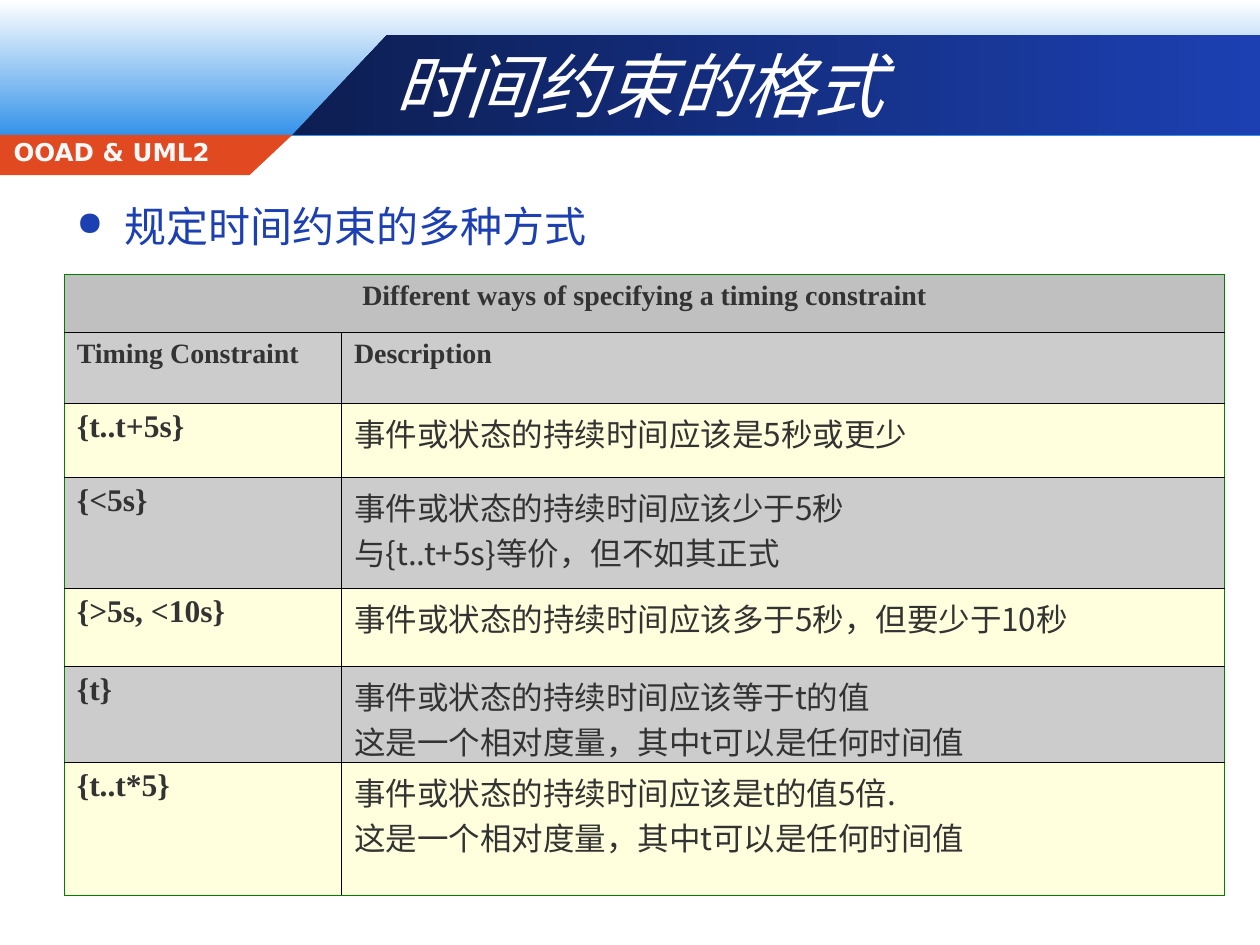
"""Build the slide on formats of UML timing constraints."""
import pptx
import pptx.dml.color
import pptx.enum.shapes
import pptx.enum.text
import pptx.oxml
import pptx.oxml.ns
import pptx.util
from pptx.dml.color import RGBColor
from pptx.util import Inches

WHITE = RGBColor(0xFF, 0xFF, 0xFF)
SKY = RGBColor(0x33, 0x92, 0xE9)
NAVY = RGBColor(0x0D, 0x1E, 0x52)
BLUE = RGBColor(0x1C, 0x40, 0xB2)
ORANGE = RGBColor(0xE1, 0x4A, 0x21)
OFF_WHITE = RGBColor(0xF8, 0xF8, 0xF8)
SILVER = RGBColor(0xC0, 0xC0, 0xC0)
GRAY = RGBColor(0xCC, 0xCC, 0xCC)
CREAM = RGBColor(0xFF, 0xFF, 0xDD)
DARK = RGBColor(0x33, 0x33, 0x33)
GREEN = RGBColor(0x00, 0x80, 0x00)
BLACK = RGBColor(0x00, 0x00, 0x00)
SERIF, SANS, CJK = "Times New Roman", "DejaVu Sans", "Noto Sans CJK SC"
NS = pptx.oxml.ns.nsdecls("a")


def style(paragraph, size, font, color, bold=False, italic=False, east_asian=CJK):
    for run in paragraph.runs:
        run.font.size = pptx.util.Pt(size)
        run.font.name = font
        run.font.color.rgb = color
        run.font.bold = bold
        run.font.italic = italic
        run.font._element.find(pptx.oxml.ns.qn("a:latin")).addnext(
            pptx.oxml.parse_xml(f'<a:ea {NS} typeface="{east_asian}"/>'))


def paint(shape, *colors, angle=0):
    shape.shadow.inherit = False
    shape.line.fill.background()
    if len(colors) == 1:
        shape.fill.solid()
        shape.fill.fore_color.rgb = colors[0]
        return
    shape.fill.gradient()
    shape.fill.gradient_angle = angle
    for stop, color in zip(shape.fill.gradient_stops, colors):
        stop.color.rgb = color


prs = pptx.Presentation()
prs.slide_width, prs.slide_height = Inches(10), Inches(7.5)
slide = prs.slides.add_slide(prs.slide_layouts[5])
shapes = slide.shapes

sky_band = shapes.add_shape(pptx.enum.shapes.MSO_SHAPE.RECTANGLE, 0, 0, Inches(10), Inches(1.08))
paint(sky_band, WHITE, SKY, angle=270)

banners = [
    ([(2.32, 1.07), (10, 1.07), (10, 0.28), (3.07, 0.28)], [NAVY, BLUE]),
    ([(0, 1.07), (2.32, 1.07), (1.98, 1.39), (0, 1.39)], [ORANGE]),
]
for corners, colors in banners:
    points = [(Inches(x), Inches(y)) for x, y in corners]
    outline = shapes.build_freeform(*points[0])
    outline.add_line_segments(points[1:], close=True)
    paint(outline.convert_to_shape(), *colors)

course = shapes.add_textbox(Inches(0.01), Inches(1.12), Inches(2.25), Inches(0.24)).text_frame
course.word_wrap = True
course.text = "OOAD & UML2"
course.paragraphs[0].line_spacing = 0.6
style(course.paragraphs[0], 14, SANS, OFF_WHITE, bold=True)

title = shapes.title
shapes.element.append(title.element)
title.left, title.top, title.width, title.height = (Inches(v) for v in (3.03, 0.28, 6.97, 0.78))
title.text_frame.text = "时间约束的格式"
title.text_frame.auto_size = pptx.enum.text.MSO_AUTO_SIZE.NONE
title.text_frame.vertical_anchor = pptx.enum.text.MSO_ANCHOR.MIDDLE
title.text_frame.paragraphs[0].alignment = pptx.enum.text.PP_ALIGN.LEFT
style(title.text_frame.paragraphs[0], 40, "Noto Sans CJK JP", WHITE, italic=True,
      east_asian="Noto Sans CJK JP")

intro = shapes.add_textbox(Inches(0.51), Inches(1.54), Inches(8.74), Inches(0.94)).text_frame
intro.word_wrap = True
intro.text = "规定时间约束的多种方式"
bullet = intro.paragraphs[0]._p.get_or_add_pPr()
bullet.set("marL", str(Inches(0.38)))
bullet.set("indent", str(Inches(-0.38)))
for item in (f'<a:buClr {NS}><a:srgbClr val="{BLUE}"/></a:buClr>',
             f'<a:buSzPct {NS} val="80000"/>', f'<a:buChar {NS} char="●"/>'):
    bullet.append(pptx.oxml.parse_xml(item))
style(intro.paragraphs[0], 24, SANS, BLUE)

rows = [
    (0.46, "Different ways of specifying a timing constraint", ""),
    (0.56, "Timing Constraint", "Description"),
    (0.59, "{t..t+5s}", "事件或状态的持续时间应该是5秒或更少"),
    (0.88, "{<5s}", "事件或状态的持续时间应该少于5秒\n与{t..t+5s}等价，但不如其正式"),
    (0.62, "{>5s, <10s}", "事件或状态的持续时间应该多于5秒，但要少于10秒"),
    (0.76, "{t}", "事件或状态的持续时间应该等于t的值\n这是一个相对度量，其中t可以是任何时间值"),
    (1.06, "{t..t*5}", "事件或状态的持续时间应该是t的值5倍.\n这是一个相对度量，其中t可以是任何时间值"),
]
last = len(rows) - 1
constraints = shapes.add_table(len(rows), 2, Inches(0.51), Inches(2.18),
                               Inches(9.21), Inches(4.93)).table
constraints.first_row = constraints.horz_banding = False
constraints.columns[0].width, constraints.columns[1].width = Inches(2.2), Inches(7.01)
constraints.cell(0, 0).merge(constraints.cell(0, 1))

for r, (height, *texts) in enumerate(rows):
    constraints.rows[r].height = Inches(height)
    for c, text in enumerate(texts):
        cell = constraints.cell(r, c)
        edges = {
            "L": (GREEN, 0.45) if c == 0 else (BLACK, 0.34),
            "R": (GREEN, 0.45) if c == 1 or r == 0 else (BLACK, 0.34),
            "T": (GREEN, 0.96) if r == 0 else (BLACK, 0.45),
            "B": (GREEN, 0.96) if r == last else (BLACK, 0.45),
        }
        for side, (color, width) in edges.items():
            cell._tc.get_or_add_tcPr().append(pptx.oxml.parse_xml(
                f'<a:ln{side} {NS} w="{pptx.util.Pt(width)}"><a:solidFill>'
                f'<a:srgbClr val="{color}"/></a:solidFill></a:ln{side}>'))
        cell.fill.solid()
        cell.fill.fore_color.rgb = SILVER if r == 0 else GRAY if r % 2 else CREAM
        if not text:
            continue
        cell.text_frame.text = text
        described = r > 1 and c == 1
        for paragraph in cell.text_frame.paragraphs:
            if r == 0:
                paragraph.alignment = pptx.enum.text.PP_ALIGN.CENTER
            style(paragraph, 18 if r > 1 else 16, CJK if described else SERIF, DARK,
                  bold=not described)

prs.save("out.pptx")
